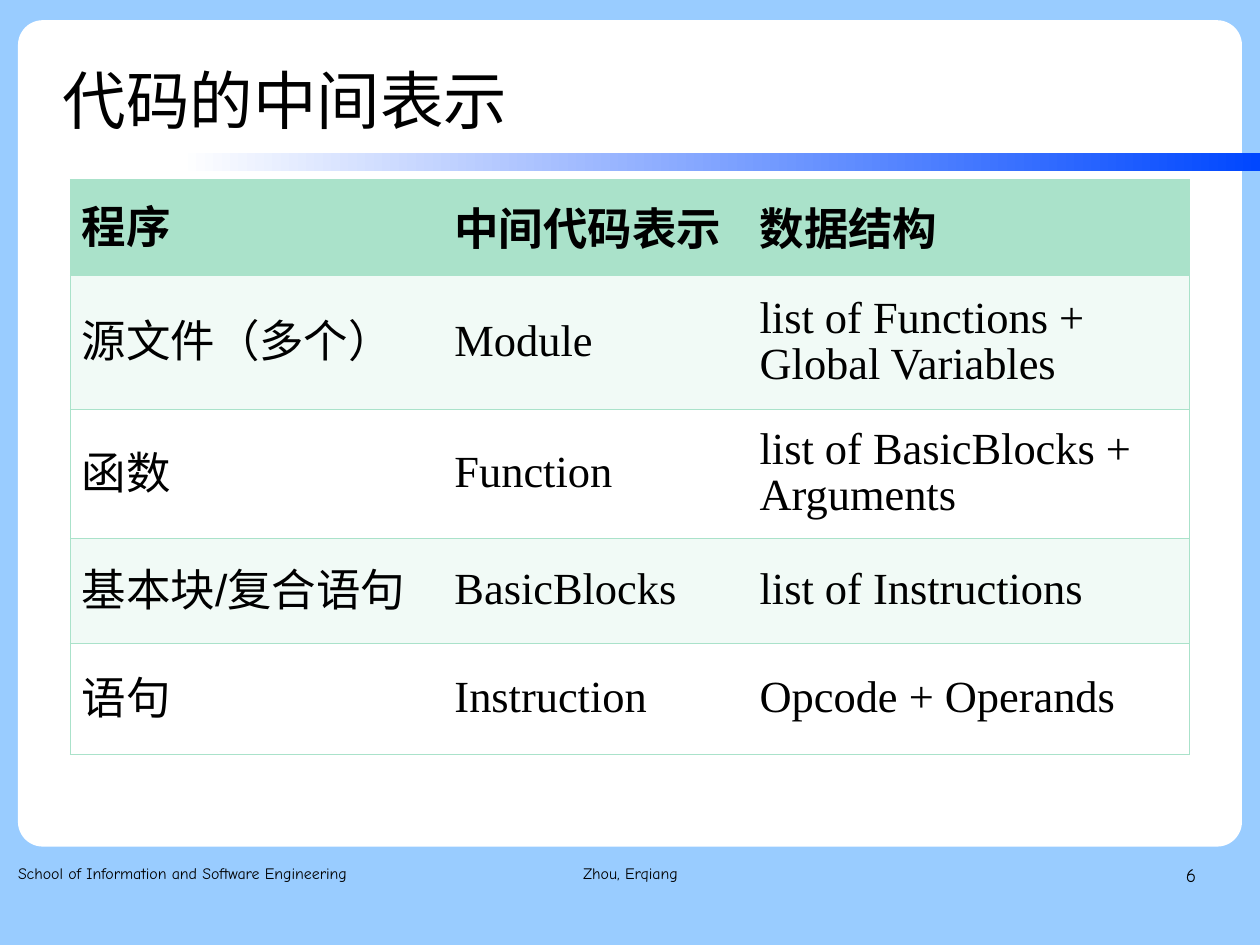
from dataclasses import dataclass

from lxml.etree import SubElement
from pptx import Presentation
from pptx.dml.color import RGBColor
from pptx.enum.shapes import MSO_SHAPE
from pptx.enum.text import MSO_ANCHOR, MSO_AUTO_SIZE, PP_ALIGN
from pptx.oxml import parse_xml
from pptx.oxml.ns import nsdecls, qn
from pptx.util import Pt


@dataclass(frozen=True)
class Theme:
    page: str = "99CCFF"
    panel: str = "FFFFFF"
    bar_end: str = "0047FF"
    text: str = "000000"
    accent: str = "AAE2CA"
    band: str = "F1FAF6"
    sans: str = "Arial"
    serif: str = "Times New Roman"
    footer_font: str = "Comic Neue"
    title_size: int = 40
    table_size: int = 28
    footer_size: int = 10
    number_size: int = 12


THEME = Theme()

ROWS = [
    ("程序", "中间代码表示", "数据结构"),
    ("源文件（多个）", "Module", "list of Functions + Global Variables"),
    ("函数", "Function", "list of BasicBlocks + Arguments"),
    ("基本块/复合语句", "BasicBlocks", "list of Instructions"),
    ("语句", "Instruction", "Opcode + Operands"),
]
COL_WIDTHS = [234.72, 192.24, 277.92]
ROW_HEIGHTS = [60.48, 84.24, 81.36, 66.24, 69.84]


def rgb(color):
    return RGBColor.from_string(color)


def style_paragraph(p, font, size, bold=False, align=PP_ALIGN.LEFT, spacing=1.0):
    p.alignment = align
    p.line_spacing = spacing
    p.font.name = font
    p.font.size = Pt(size)
    p.font.bold = bold
    p.font.color.rgb = rgb(THEME.text)


def clear_margins(tf):
    tf.margin_left = tf.margin_top = tf.margin_right = tf.margin_bottom = 0


def place(sp, left, top, width, height):
    sp.left, sp.top, sp.width, sp.height = Pt(left), Pt(top), Pt(width), Pt(height)


def add_plain_shape(s, kind, left, top, width, height):
    sp = s.shapes.add_shape(kind, Pt(left), Pt(top), Pt(width), Pt(height))
    sp.shadow.inherit = False
    sp.line.fill.background()
    return sp


def add_backdrop(s):
    """Draw the white rounded panel and the gradient bar under the title."""
    s.background.fill.solid()
    s.background.fill.fore_color.rgb = rgb(THEME.page)

    panel = add_plain_shape(s, MSO_SHAPE.ROUNDED_RECTANGLE, 11.34, 12.76, 771.02, 520.56)
    panel.adjustments[0] = 0.03
    panel.fill.solid()
    panel.fill.fore_color.rgb = rgb(THEME.panel)

    bar = add_plain_shape(s, MSO_SHAPE.RECTANGLE, 113.04, 96.48, 680.66, 11.52)
    bar.fill.gradient()
    bar.fill.gradient_angle = 0
    for stop, position, color in zip(bar.fill.gradient_stops, (0, 1),
                                     (THEME.panel, THEME.bar_end)):
        stop.position = position
        stop.color.rgb = rgb(color)


def set_title(s, text):
    """Fill the title placeholder and bring it in front of the panel."""
    title = s.shapes.title
    s.shapes._spTree.append(title._element)
    place(title, 39.6, 23.76, 617.76, 72.72)
    tf = title.text_frame
    tf.text = text
    tf.auto_size = MSO_AUTO_SIZE.NONE
    tf.vertical_anchor = MSO_ANCHOR.MIDDLE
    clear_margins(tf)
    style_paragraph(tf.paragraphs[0], THEME.sans, THEME.title_size, spacing=1.1)


def add_footer(s, text, left, width, size, align):
    sp = s.shapes.add_textbox(Pt(left), Pt(541.9), Pt(width), Pt(41.04))
    tf = sp.text_frame
    tf.word_wrap = True
    clear_margins(tf)
    tf.text = text
    style_paragraph(tf.paragraphs[0], THEME.footer_font, size, align=align, spacing=1.16)


def set_borders(cell, visible):
    """Draw the sides named in visible (L, R, T, B) and hide the others."""
    tc_pr = cell._tc.get_or_add_tcPr()
    for i, side in enumerate("LRTB"):
        ln = parse_xml(f'<a:ln{side} {nsdecls("a")} w="{Pt(1)}"/>')
        if side in visible:
            fill = SubElement(ln, qn("a:solidFill"))
            SubElement(fill, qn("a:srgbClr"), val=THEME.accent)
        else:
            SubElement(ln, qn("a:noFill"))
        tc_pr.insert(i, ln)


def fill_cell(cell, text, row, col):
    header = row == 0
    cell.text = text
    cell.vertical_anchor = MSO_ANCHOR.MIDDLE
    cell.fill.solid()
    cell.fill.fore_color.rgb = rgb(
        THEME.accent if header else THEME.band if row % 2 else THEME.panel)
    style_paragraph(cell.text_frame.paragraphs[0],
                    THEME.sans if header or col == 0 else THEME.serif,
                    THEME.table_size, bold=header,
                    spacing=0.8 if col == 0 else 0.93)
    outer = {0: "L", len(COL_WIDTHS) - 1: "R"}
    set_borders(cell, "TB" + outer.get(col, ""))


def add_code_table(s):
    frame = s.shapes.add_table(len(ROWS), len(COL_WIDTHS), Pt(44.4), Pt(113.2),
                               Pt(sum(COL_WIDTHS)), Pt(sum(ROW_HEIGHTS)))
    table = frame.table
    table.horz_banding = False
    for column, width in zip(table.columns, COL_WIDTHS):
        column.width = Pt(width)
    for row, height in zip(table.rows, ROW_HEIGHTS):
        row.height = Pt(height)
    for i, texts in enumerate(ROWS):
        for j, text in enumerate(texts):
            fill_cell(table.cell(i, j), text, i, j)


def main():
    prs = Presentation()
    prs.slide_width, prs.slide_height = Pt(793.7), Pt(595.28)
    s = prs.slides.add_slide(prs.slide_layouts[5])

    add_backdrop(s)
    set_title(s, "代码的中间表示")
    add_footer(s, "Zhou, Erqiang", 271.44, 251.28, THEME.footer_size, PP_ALIGN.CENTER)
    add_footer(s, "6", 568.5, 185.04, THEME.number_size, PP_ALIGN.RIGHT)
    add_footer(s, "School of Information and Software Engineering",
               11.34, 243.36, THEME.footer_size, PP_ALIGN.LEFT)
    add_code_table(s)
    prs.save("out.pptx")


if __name__ == "__main__":
    main()
